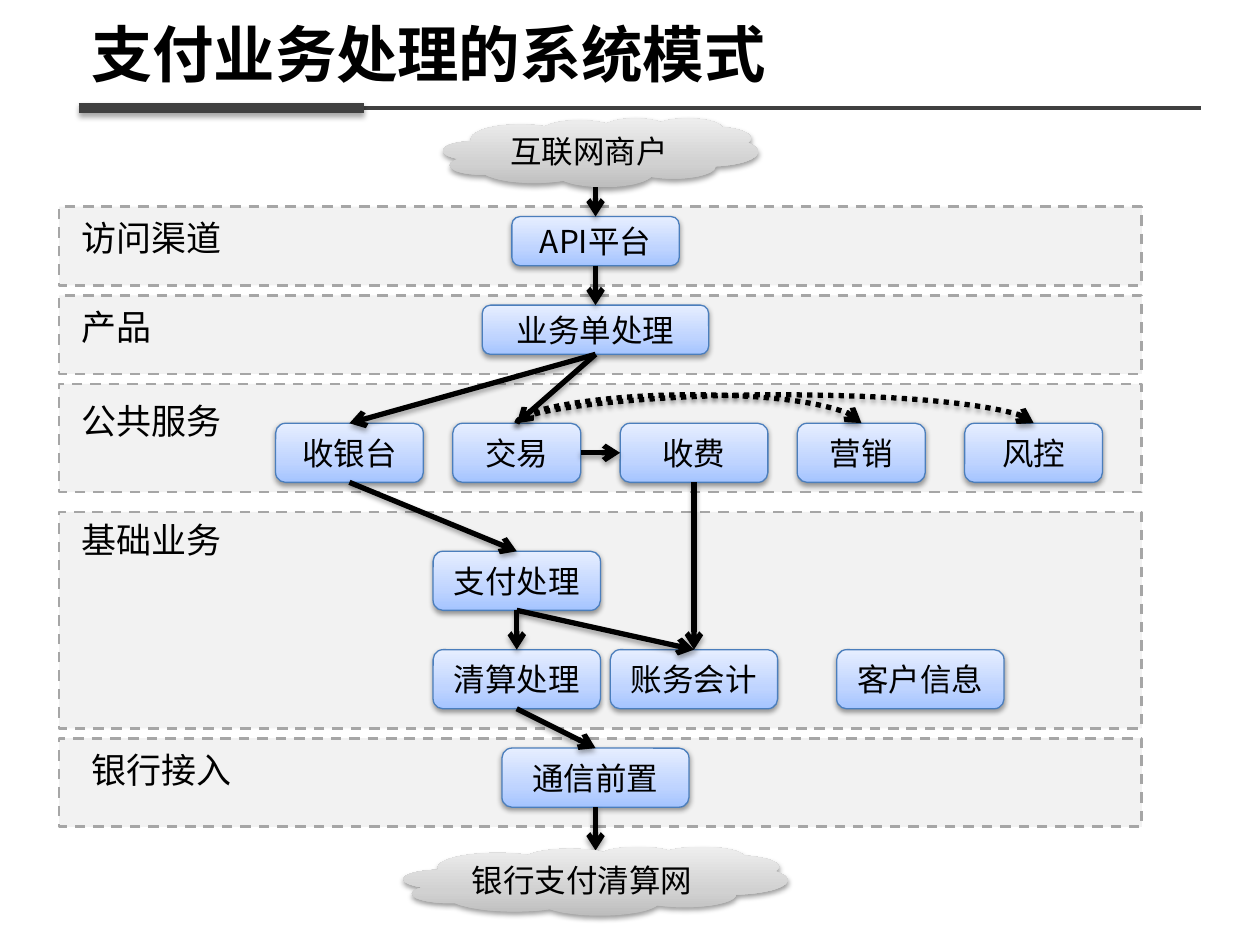
from lxml import etree
from pptx import Presentation
from pptx import util as u
from pptx.dml.color import RGBColor
from pptx.enum import dml, shapes, text
from pptx.oxml.ns import qn

COLUMNS, ROWS = 128, 96
COLORS = {"ink": "000000", "rule": "404040", "band": "F2F2F2",
          "band_edge": "A6A6A6", "node_edge": "4B7EBC"}
GRADIENTS = {"node": ("A4C4FF", "BFD4FF", "E6EEFF"),
             "cloud": ("BDBDBD", "D1D1D1", "EEEEEE")}
STOPS = (0, 35, 100)
TOP, LEFT, BOTTOM, RIGHT = range(4)
TITLE = {"size": u.Pt(35.1), "bold": True}
LABEL = {"size": u.Pt(20)}
NODE = {"size": u.Pt(18)}

BANDS = [("访问渠道", 21, 8, 7, 21.4), ("产品", 30, 8, 7, 30.4),
         ("公共服务", 39, 11, 7, 40), ("基础业务", 52, 22, 7, 52),
         ("银行接入", 75, 9, 8, 75.4)]
NODES = [("API平台", 52, 22, 17, 5), ("业务单处理", 49, 31, 23, 5),
         ("收银台", 28, 43, 15, 6), ("交易", 46, 43, 13, 6),
         ("收费", 63, 43, 15, 6), ("营销", 81, 43, 13, 6),
         ("风控", 98, 43, 14, 6), ("支付处理", 44, 56, 17, 6),
         ("清算处理", 44, 66, 17, 6), ("账务会计", 62, 66, 17, 6),
         ("客户信息", 85, 66, 17, 6), ("通信前置", 51, 76, 19, 6)]
FLOWS = [("API平台", "业务单处理"), ("业务单处理", "收银台"),
         ("业务单处理", "交易"), ("收银台", "支付处理"),
         ("支付处理", "清算处理"), ("支付处理", "账务会计"),
         ("收费", "账务会计"), ("清算处理", "通信前置")]
CLOUDS = [("互联网商户", 45, 12, 32, 7), ("银行支付清算网", 41, 86, 39, 7)]


def add_xml(parent, tag, **values):
    """Append a DrawingML element and return it."""
    return etree.SubElement(parent, qn(tag), {k: str(v) for k, v in values.items()})


class Diagram:
    """Holds the style and the current slide."""

    def __init__(self, deck, font):
        self.deck, self.font = deck, font
        self.page = deck.slides.add_slide(deck.slide_layouts[6])

    def x(self, columns):
        return round(self.deck.slide_width * columns / COLUMNS)

    def y(self, rows):
        return round(self.deck.slide_height * rows / ROWS)

    def place(self, left, top, width, height):
        return self.x(left), self.y(top), self.x(width), self.y(height)

    def add_words(self, box, words, style, **layout):
        para = box.text_frame.paragraphs[0]
        for name, value in layout.items():
            setattr(para, name, value)
        span = para.add_run()
        span.text = words
        for name, value in {"name": self.font, **style}.items():
            setattr(span.font, name, value)
        span.font.color.rgb = RGBColor.from_string(COLORS["ink"])
        add_xml(span.font._element, "a:ea", typeface=self.font)

    def stroke(self, line, color, width, dash=None):
        line.color.rgb = RGBColor.from_string(COLORS[color])
        line.width = u.Pt(width)
        if dash:
            line.dash_style = dash

    def shade(self, item, distance, alpha):
        effects = add_xml(item._element.spPr, "a:effectLst")
        if alpha:
            shadow = add_xml(effects, "a:outerShdw", blurRad=u.Pt(3.1),
                             dist=u.Pt(distance), dir=5400000, rotWithShape=0)
            color = add_xml(shadow, "a:srgbClr", val=COLORS["ink"])
            add_xml(color, "a:alpha", val=alpha * 1000)

    def title(self, words, *area):
        box = self.page.shapes.add_textbox(*self.place(*area))
        box.text_frame.word_wrap = True
        box.text_frame.vertical_anchor = text.MSO_ANCHOR.MIDDLE
        self.add_words(box, words, TITLE, line_spacing=0.9)

    def label(self, words, left, top):
        width = 3 + 3.5 * len(words)
        box = self.page.shapes.add_textbox(*self.place(left, top, width, 5.6))
        box.text_frame.word_wrap = False
        box.text_frame.auto_size = text.MSO_AUTO_SIZE.SHAPE_TO_FIT_TEXT
        self.add_words(box, words, LABEL)

    def band(self, top, height):
        box = self.page.shapes.add_shape(
            shapes.MSO_SHAPE.RECTANGLE, *self.place(6, top, 110, height))
        box.fill.solid()
        box.fill.fore_color.rgb = RGBColor.from_string(COLORS["band"])
        self.stroke(box.line, "band_edge", 1.5, dml.MSO_LINE.DASH)
        box.shadow.inherit = False

    def block(self, kind, gradient, words, area):
        box = self.page.shapes.add_shape(kind, *self.place(*area))
        box.fill.gradient()
        box.fill.gradient_angle = 90
        stops = box._element.spPr.find(".//" + qn("a:gsLst"))
        for stop in list(stops):
            stops.remove(stop)
        for share, color in zip(STOPS, GRADIENTS[gradient]):
            add_xml(add_xml(stops, "a:gs", pos=share * 1000), "a:srgbClr", val=color)
        box.text_frame.word_wrap = True
        box.text_frame.vertical_anchor = text.MSO_ANCHOR.MIDDLE
        self.add_words(box, words, NODE, alignment=text.PP_ALIGN.CENTER)
        return box

    def node(self, words, *area):
        box = self.block(shapes.MSO_SHAPE.ROUNDED_RECTANGLE, "node", words, area)
        self.stroke(box.line, "node_edge", 0.75)
        self.shade(box, 1.6, 38)
        return box

    def cloud(self, words, *area):
        box = self.block(shapes.MSO_SHAPE.CLOUD, "cloud", words, area)
        box.line.fill.background()
        self.shade(box, 1.6, 38)

    def rule(self, start, end, row, width, alpha):
        line = self.page.shapes.add_connector(
            shapes.MSO_CONNECTOR.STRAIGHT, self.x(start), self.y(row),
            self.x(end), self.y(row))
        self.stroke(line.line, "rule", width)
        self.shade(line, 1.8, alpha)

    def finish_arrow(self, line, dash=None):
        self.stroke(line.line, "ink", 3, dash)
        add_xml(line._element.spPr.find(qn("a:ln")), "a:tailEnd", type="arrow")
        self.shade(line, 1.8, 35)

    def drop(self, column, start, end):
        self.finish_arrow(self.page.shapes.add_connector(
            shapes.MSO_CONNECTOR.STRAIGHT, self.x(column), self.y(start),
            self.x(column), self.y(end)))

    def flow(self, source, target, exit_side=BOTTOM, entry_side=TOP):
        line = self.page.shapes.add_connector(
            shapes.MSO_CONNECTOR.STRAIGHT, 0, 0, 0, 0)
        line.begin_connect(source, exit_side)
        line.end_connect(target, entry_side)
        self.finish_arrow(line)

    def arch(self, source, target, rise=3.2, thickness=1588):
        start, end = (box.left + box.width // 2 for box in (source, target))
        span = end - start
        line = self.page.shapes.add_connector(
            shapes.MSO_CONNECTOR.CURVE, 0, 0, thickness, span)
        line.left, line.top = (start + end) // 2, source.top - span // 2
        frame = line._element.spPr.find(qn("a:xfrm"))
        for name, value in {"rot": "5400000", "flipH": "1", "flipV": "1"}.items():
            frame.set(name, value)
        guides = line._element.spPr.find(".//" + qn("a:avLst"))
        bend = round(self.y(rise) / thickness * 100000)
        add_xml(guides, "a:gd", name="adj1", fmla=f"val {bend}")
        self.finish_arrow(line, dml.MSO_LINE.ROUND_DOT)


def main():
    deck = Presentation()
    deck.slide_width, deck.slide_height = u.Inches(10), u.Inches(7.5)
    diagram = Diagram(deck, "Noto Sans CJK SC")
    diagram.title("支付业务处理的系统模式", 8, 1.8, 113.6, 8.2)
    diagram.rule(8, 122, 11, 2.25, 0)
    diagram.rule(8, 37, 11, 6, 35)
    for words, top, height, left, label_top in BANDS:
        diagram.band(top, height)
        diagram.label(words, left, label_top)
    nodes = {words: diagram.node(words, *area) for words, *area in NODES}
    for source, target in FLOWS:
        diagram.flow(nodes[source], nodes[target])
    diagram.flow(nodes["交易"], nodes["收费"], RIGHT, LEFT)
    for target in ("营销", "风控"):
        diagram.arch(nodes["交易"], nodes[target])
    diagram.drop(60.5, 19, 22)
    diagram.drop(60.5, 82, 86.4)
    for cloud in CLOUDS:
        diagram.cloud(*cloud)
    deck.save("out.pptx")


if __name__ == "__main__":
    main()
